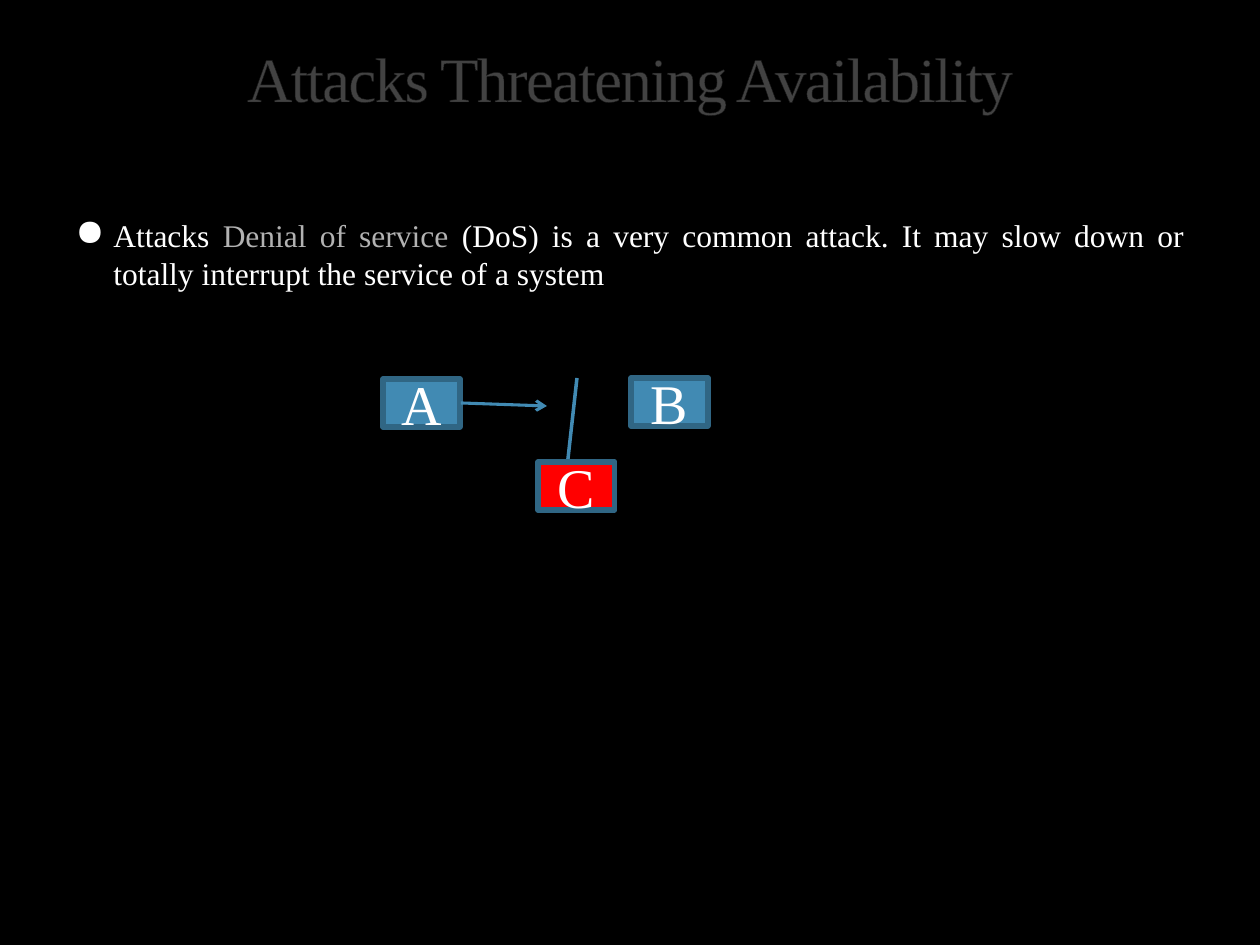
import pptx
import pptx.util
import pptx.dml.color
import pptx.enum.shapes
import pptx.enum.text
import pptx.oxml
import pptx.oxml.ns
import lxml.etree

PX = 914400 // 126
FONT = "Times New Roman"
COLORS = {
    "background": "000000",
    "text": "FFFFFF",
    "term": "B2B2B2",
    "outline": "535353",
    "node": "418AB3",
    "border": "306684",
    "attacker": "FF0000",
}


def color(name):
    return pptx.dml.color.RGBColor.from_string(COLORS[name])


def add_xml(parent, tag, **attributes):
    return lxml.etree.SubElement(parent, pptx.oxml.ns.qn(tag), attributes)


class SlideBuilder:
    def __init__(self, deck):
        self.slide = deck.slides.add_slide(deck.slide_layouts[5])
        fill = self.slide.background.fill
        fill.solid()
        fill.fore_color.rgb = color("background")

    def format(self, paragraph, size, align):
        paragraph.alignment = align
        paragraph.font.name = FONT
        paragraph.font.size = pptx.util.Pt(size)
        paragraph.font.color.rgb = color("text")

    def title(self, text, left, top, width, height, inset):
        heading = self.slide.shapes.title
        heading.left, heading.top = left * PX, top * PX
        heading.width, heading.height = width * PX, height * PX
        frame = heading.text_frame
        frame.vertical_anchor = pptx.enum.text.MSO_ANCHOR.TOP
        frame.margin_top = inset * PX
        frame.text = text
        self.format(frame.paragraphs[0], 36, pptx.enum.text.PP_ALIGN.CENTER)
        run = frame.paragraphs[0].runs[0]
        run.font.color.rgb = color("text")
        properties = run.font._element
        properties.set("spc", "-100")
        outline = pptx.oxml.parse_xml(
            f'<a:ln {pptx.oxml.ns.nsdecls("a")} w="3175"><a:solidFill>'
            f'<a:srgbClr val="{COLORS["outline"]}"><a:alpha val="25000"/></a:srgbClr>'
            "</a:solidFill></a:ln>"
        )
        properties.insert(0, outline)

    def bullet(self, parts, left, top, width, height, indent):
        box = self.slide.shapes.add_textbox(left * PX, top * PX, width * PX, height * PX)
        box.text_frame.word_wrap = True
        paragraph = box.text_frame.paragraphs[0]
        paragraph.space_before = pptx.util.Pt(6)
        self.format(paragraph, 18, pptx.enum.text.PP_ALIGN.JUSTIFY)
        properties = paragraph._p.get_or_add_pPr()
        properties.set("marL", str(indent * PX))
        properties.set("indent", str(-indent * PX))
        default_font = properties.find(pptx.oxml.ns.qn("a:defRPr"))
        bullet_color = add_xml(properties, "a:buClr")
        add_xml(bullet_color, "a:srgbClr", val=COLORS["text"])
        add_xml(properties, "a:buSzPct", val="117000")
        add_xml(properties, "a:buChar", char="●")
        properties.append(default_font)
        for text, shade in parts:
            run = paragraph.add_run()
            run.text = text
            run.font.name = FONT
            run.font.size = pptx.util.Pt(18)
            run.font.color.rgb = color(shade)

    def node(self, label, left, top, fill):
        box = self.slide.shapes.add_shape(
            pptx.enum.shapes.MSO_SHAPE.RECTANGLE, left * PX, top * PX, 77 * PX, 48 * PX
        )
        box.shadow.inherit = False
        box.fill.solid()
        box.fill.fore_color.rgb = color(fill)
        box.line.color.rgb = color("border")
        box.line.width = pptx.util.Pt(3)
        box.text_frame.text = label
        box.text_frame.vertical_anchor = pptx.enum.text.MSO_ANCHOR.MIDDLE
        self.format(box.text_frame.paragraphs[0], 32, pptx.enum.text.PP_ALIGN.CENTER)

    def line(self, start, end, width, arrow=False):
        connector = self.slide.shapes.add_connector(
            pptx.enum.shapes.MSO_CONNECTOR.STRAIGHT, *(value * PX for value in start + end)
        )
        connector.line.color.rgb = color("node")
        connector.line.width = pptx.util.Pt(width)
        if arrow:
            add_xml(connector.line._get_or_add_ln(), "a:tailEnd", type="arrow")
        add_xml(connector._element.spPr, "a:effectLst")


def main():
    deck = pptx.Presentation()
    deck.slide_width, deck.slide_height = pptx.util.Inches(10), pptx.util.Inches(7.5)
    builder = SlideBuilder(deck)
    builder.title("Attacks Threatening Availability", 63, 21, 1134, 168, 18)
    builder.bullet(
        [
            ("Attacks ", "text"),
            ("Denial of service", "term"),
            (
                " (DoS) is a very common attack. It may slow down or totally "
                "interrupt the service of a system",
                "text",
            ),
        ],
        63, 210, 1134, 630, 38,
    )
    builder.node("A", 383, 379, "node")
    builder.node("B", 631, 378, "node")
    builder.node("C", 538, 462, "attacker")
    builder.line((461, 403), (547, 406), 1.75, arrow=True)
    builder.line((577, 378), (568, 459), 2)
    deck.save("out.pptx")


if __name__ == "__main__":
    main()
